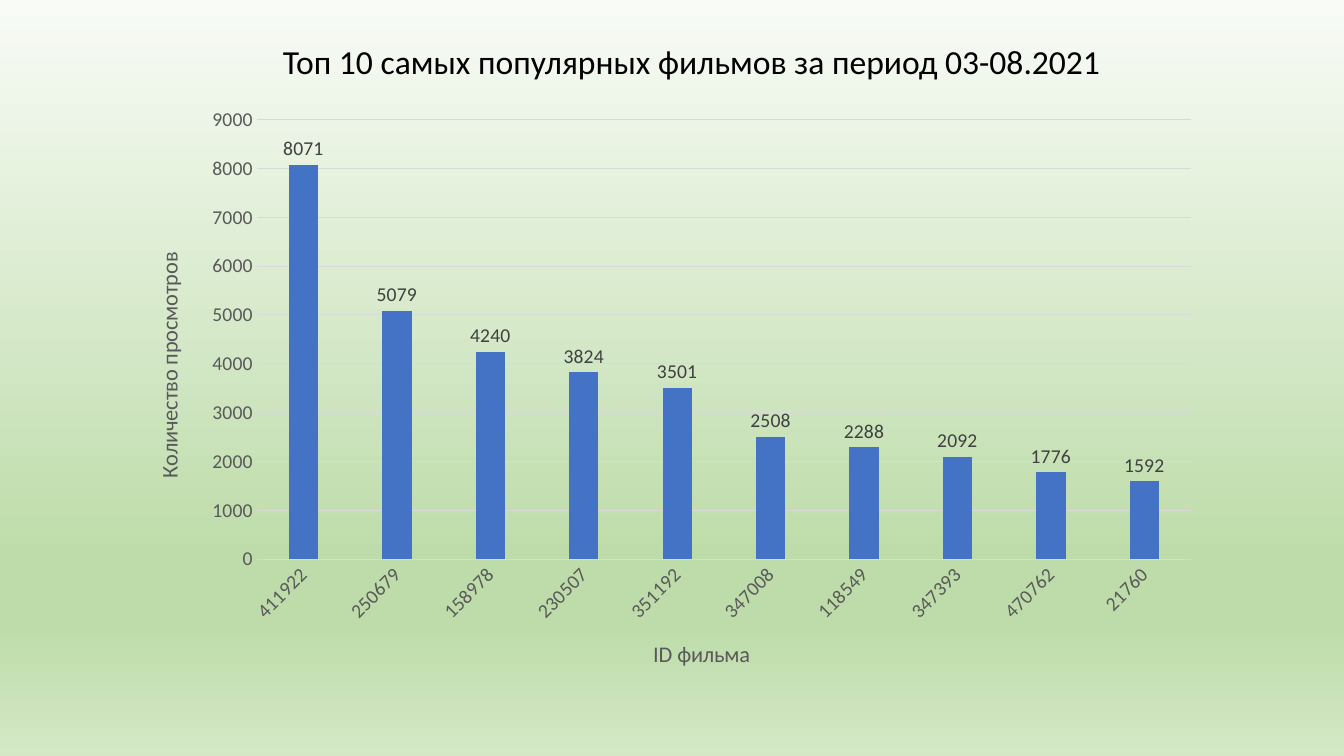
from copy import deepcopy

from pptx import Presentation
from pptx.chart.data import CategoryChartData as ChartData
from pptx.dml.color import RGBColor as RGB
from pptx.enum.chart import XL_CHART_TYPE as Kind
from pptx.enum.chart import XL_LABEL_POSITION as Place
from pptx.enum.chart import XL_TICK_MARK as Tick
from pptx.util import Cm, Pt

TITLE = "Топ 10 самых популярных фильмов за период 03-08.2021"
FILM_AXIS = "ID фильма"
VIEW_AXIS = "Количество просмотров"
VIEWS = {
    "411922": 8071, "250679": 5079, "158978": 4240, "230507": 3824,
    "351192": 3501, "347008": 2508, "118549": 2288, "347393": 2092,
    "470762": 1776, "21760": 1592,
}
COLORS = {"title": "000000", "axis": "595959", "label": "404040",
          "grid": "D9D9D9", "bar": "4472C4"}
BACK = [(0, "F8FBF6"), (0.74, "BEDCAA"), (0.83, "BEDCAA"), (1, "D4E8C6")]
FONT = "Calibri"


def style(font, size, color):
    font.name = FONT
    font.size = Pt(size)
    font.bold = False
    font.color.rgb = RGB.from_string(COLORS[color])


def rule(line):
    line.color.rgb = RGB.from_string(COLORS["grid"])
    line.width = Pt(0.75)


def paint(slide):
    """Fill the background with the vertical gradient."""
    fill = slide.background.fill
    fill.gradient()
    fill.gradient_angle = 270
    stops = fill.gradient_stops
    first = stops[0]._gs
    parent = first.getparent()
    while len(parent) < len(BACK):
        parent.append(deepcopy(first))
    for stop, (pos, color) in zip(fill.gradient_stops, BACK):
        stop.position = pos
        stop.color.rgb = RGB.from_string(color)


def set_axis(axis, title):
    axis.major_tick_mark = axis.minor_tick_mark = Tick.NONE
    style(axis.tick_labels.font, 14, "axis")
    frame = axis.axis_title.text_frame
    frame.text = title
    style(frame.paragraphs[0].runs[0].font, 16, "axis")


def add_bars(slide):
    data = ChartData()
    data.categories = list(VIEWS)
    data.add_series("Series 1", list(VIEWS.values()))
    chart = slide.shapes.add_chart(
        Kind.COLUMN_CLUSTERED, Cm(3.33), Cm(2.41), Cm(27.23), Cm(15.04), data).chart
    chart.has_legend = chart.has_title = False
    style(chart.font, 10, "title")

    films, views = chart.category_axis, chart.value_axis
    set_axis(films, FILM_AXIS)
    set_axis(views, VIEW_AXIS)
    rule(films.format.line)
    films._element.txPr.bodyPr.set("rot", "-2700000")
    views.format.line.fill.background()
    views.has_major_gridlines = True
    rule(views.major_gridlines.format.line)

    plot = chart.plots[0]
    plot.gap_width, plot.overlap = 219, -27
    plot.vary_by_categories = False
    bars = plot.series[0]
    bars.format.fill.solid()
    bars.format.fill.fore_color.rgb = RGB.from_string(COLORS["bar"])
    labels = bars.data_labels
    labels.show_value = True
    labels.number_format = "@"
    labels.number_format_is_linked = False
    labels.position = Place.OUTSIDE_END
    style(labels.font, 14, "label")


def add_title(slide):
    frame = slide.shapes.add_textbox(Cm(6.88), Cm(0.91), Cm(23.98), Cm(2.06)).text_frame
    frame.word_wrap = True
    frame.text = TITLE
    style(frame.paragraphs[0].runs[0].font, 24, "title")


def main():
    deck = Presentation()
    deck.slide_width, deck.slide_height = Cm(33.87), Cm(19.05)
    slide = deck.slides.add_slide(deck.slide_layouts[6])
    paint(slide)
    add_bars(slide)
    add_title(slide)
    deck.save("out.pptx")


if __name__ == "__main__":
    main()
